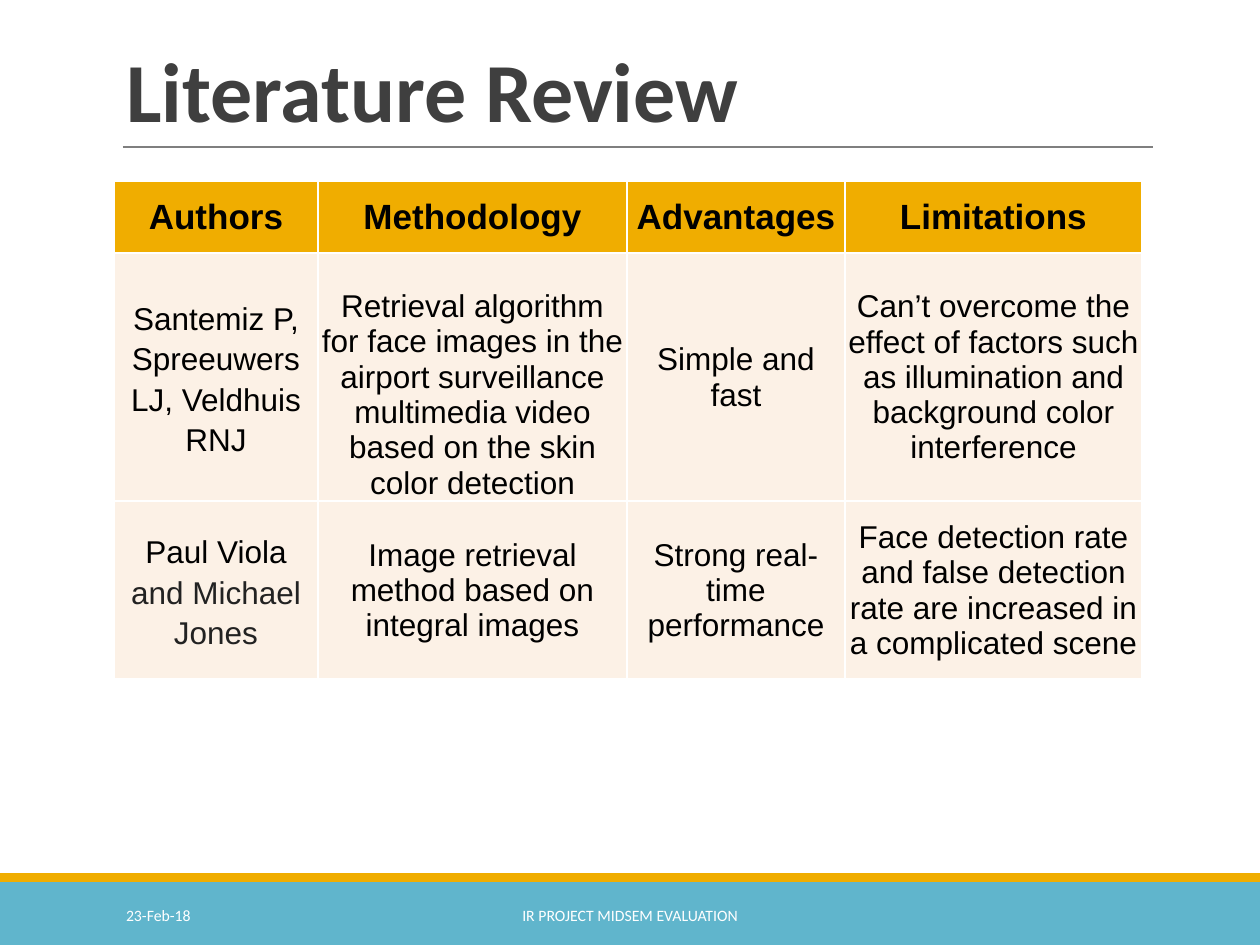
from lxml import etree
from pptx import Presentation
from pptx.dml.color import RGBColor
from pptx.enum.shapes import MSO_CONNECTOR, MSO_SHAPE
from pptx.enum.text import MSO_ANCHOR, MSO_AUTO_SIZE, PP_ALIGN
from pptx.oxml import parse_xml
from pptx.oxml.ns import nsdecls, qn
from pptx.util import Pt

RECTANGLE, STRAIGHT = MSO_SHAPE.RECTANGLE, MSO_CONNECTOR.STRAIGHT
LEFT, CENTER = PP_ALIGN.LEFT, PP_ALIGN.CENTER
MIDDLE, BOTTOM = MSO_ANCHOR.MIDDLE, MSO_ANCHOR.BOTTOM
NO_AUTOFIT = MSO_AUTO_SIZE.NONE

EMU_PER_PX = 914400 / 126
BLUE, GOLD, CREAM = "60B5CC", "F0AD00", "FCF1E6"
WHITE, BLACK, NEAR_BLACK, DARK, GREY = "FFFFFF", "000000", "222222", "3F3F3F", "7F7F7F"

TITLE = {"name": "Calibri", "size": Pt(48), "bold": True, "color": DARK}
FOOTER = {"name": "Calibri", "size": Pt(9), "bold": False, "color": WHITE}
HEADER = {"name": "Arial", "size": Pt(20), "bold": True, "color": BLACK}
BODY = {"name": "Arial", "size": Pt(18), "bold": False, "color": BLACK}

COLUMN_WIDTHS = [204, 309, 218, 297]
ROW_HEIGHTS = [72, 248, 178]
# A cell is a list of paragraphs; a paragraph is a list of (text, color) runs.
REVIEW_ROWS = [
    [[[(heading, BLACK)]] for heading in
     ("Authors", "Methodology", "Advantages", "Limitations")],
    [
        [[("Santemiz P, Spreeuwers LJ, Veldhuis RNJ", BLACK)]],
        [[("Retrieval algorithm", BLACK)],
         [("for face images in the airport surveillance multimedia video "
           "based on the skin color detection", BLACK)]],
        [[("Simple and fast", BLACK)]],
        [[("Can’t overcome the effect of factors such as illumination and "
           "background color interference", BLACK)]],
    ],
    [
        [[("Paul Viola", BLACK), (" and Michael Jones", NEAR_BLACK)]],
        [[("Image retrieval", BLACK)],
         [("method based on integral images", BLACK)]],
        [[("Strong real-time performance", BLACK)]],
        [[("Face detection rate and false detection rate are increased in a "
           "complicated scene", BLACK)]],
    ],
]
TOP_MARGINS = {(1, 1): 36}  # the longest cell sits low in its row


def px(*lengths):
    return [round(length * EMU_PER_PX) for length in lengths]


def rgb(color):
    return RGBColor.from_string(color)


def apply(target, values):
    for name, value in values.items():
        setattr(target, name, value)


class SlideBuilder:
    def __init__(self, slide):
        self.slide = slide
        self.shapes = slide.shapes

    def add_run(self, paragraph, text, style):
        run = paragraph.add_run()
        run.text = text
        apply(run.font, {key: style[key] for key in ("name", "size", "bold")})
        run.font.color.rgb = rgb(style["color"])

    def fill_frame(self, shape, text, style, alignment, anchor):
        frame = shape.text_frame
        left, top = px(13, 6)
        apply(frame, {"word_wrap": True, "auto_size": NO_AUTOFIT,
                      "vertical_anchor": anchor, "margin_left": left,
                      "margin_right": left, "margin_top": top,
                      "margin_bottom": top})
        paragraph = frame.paragraphs[0]
        paragraph.alignment = alignment
        self.add_run(paragraph, text, style)
        return paragraph

    def title(self, text, *box):
        title = self.shapes.title
        apply(title, dict(zip(("left", "top", "width", "height"), px(*box))))
        paragraph = self.fill_frame(title, text, TITLE, LEFT, BOTTOM)
        paragraph.line_spacing = 0.85

    def text(self, text, alignment, *box):
        shape = self.shapes.add_textbox(*px(*box))
        self.fill_frame(shape, text, FOOTER, alignment, MIDDLE)

    def bar(self, color, *box):
        shape = self.shapes.add_shape(RECTANGLE, *px(*box))
        shape.shadow.inherit = False
        shape.fill.solid()
        shape.fill.fore_color.rgb = rgb(color)
        shape.line.fill.background()

    def line(self, color, *ends):
        connector = self.shapes.add_connector(STRAIGHT, *px(*ends))
        connector.line.color.rgb = rgb(color)
        connector.line.width = Pt(0.75)
        etree.SubElement(connector._element.spPr, qn("a:effectLst"))

    def cell_borders(self, cell):
        properties = cell._tc.get_or_add_tcPr()
        for side in ("lnL", "lnR", "lnT", "lnB"):
            properties.append(parse_xml(
                f'<a:{side} {nsdecls("a")} w="{Pt(1)}"><a:solidFill>'
                f'<a:srgbClr val="{WHITE}"/></a:solidFill></a:{side}>'))

    def cell(self, cell, paragraphs, style, color, top_margin, line_spacing):
        self.cell_borders(cell)
        cell.fill.solid()
        cell.fill.fore_color.rgb = rgb(color)
        side, top = px(1, top_margin)
        apply(cell, {"vertical_anchor": MIDDLE, "margin_left": side,
                     "margin_right": side, "margin_top": top,
                     "margin_bottom": 0})
        frame = cell.text_frame
        for index, runs in enumerate(paragraphs):
            paragraph = frame.add_paragraph() if index else frame.paragraphs[0]
            apply(paragraph, {"alignment": CENTER, "line_spacing": line_spacing})
            for text, run_color in runs:
                self.add_run(paragraph, text, {**style, "color": run_color})

    def table(self, rows, left, top):
        box = px(left, top, sum(COLUMN_WIDTHS), sum(ROW_HEIGHTS))
        table = self.shapes.add_table(len(rows), len(COLUMN_WIDTHS), *box).table
        for column, width in zip(table.columns, px(*COLUMN_WIDTHS)):
            column.width = width
        for row, height in zip(table.rows, px(*ROW_HEIGHTS)):
            row.height = height
        for r, row in enumerate(rows):
            style, color = (BODY, CREAM) if r else (HEADER, GOLD)
            for c, paragraphs in enumerate(row):
                line_spacing = 1.15 if r and c == 0 else 1.0
                self.cell(table.cell(r, c), paragraphs, style, color,
                          TOP_MARGINS.get((r, c), 1), line_spacing)


def main():
    presentation = Presentation()
    presentation.slide_width, presentation.slide_height = px(1260, 945)
    slide = presentation.slides.add_slide(presentation.slide_layouts[5])
    builder = SlideBuilder(slide)
    builder.bar(BLUE, 0, 882, 1260, 63)
    builder.bar(GOLD, 0, 873, 1260, 9)
    builder.line(GREY, 123, 147, 1153, 147)
    builder.title("Literature Review", 113, 39, 1040, 107)
    builder.table(REVIEW_ROWS, 114, 181)
    builder.text("23-Feb-18", LEFT, 113, 890, 256, 50)
    builder.text("IR PROJECT MIDSEM EVALUATION", CENTER, 380, 890, 500, 50)
    presentation.save("out.pptx")


if __name__ == "__main__":
    main()
